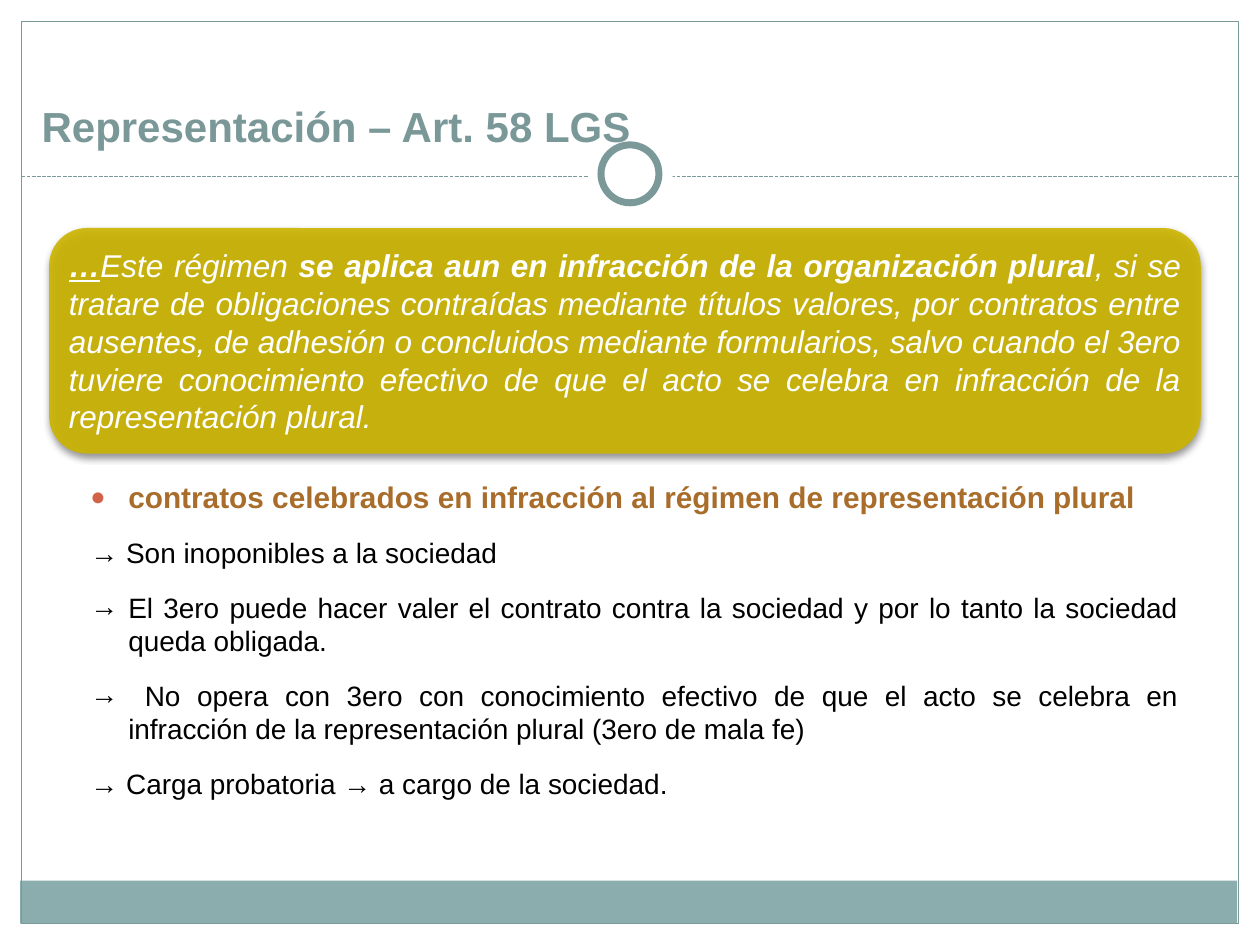
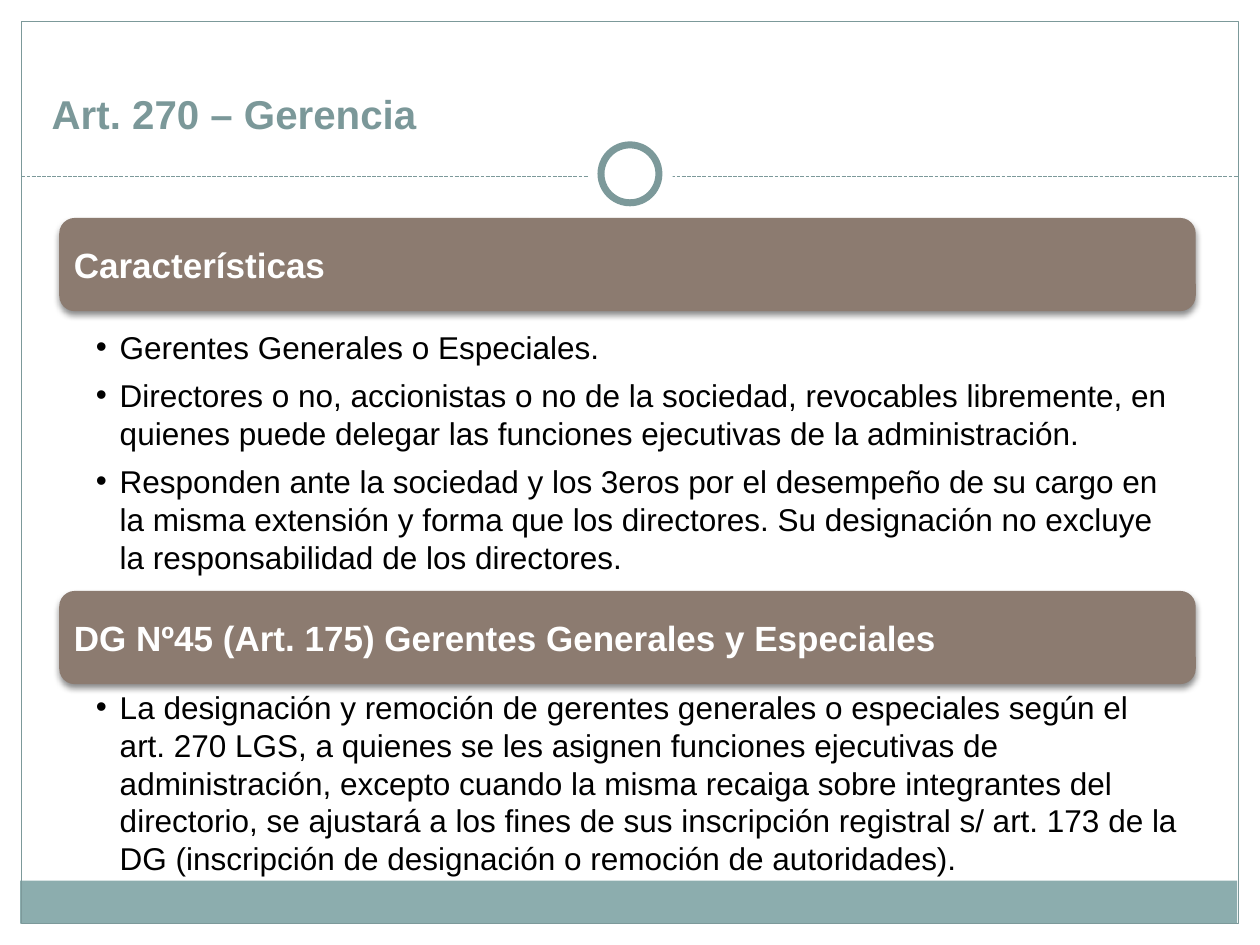
import pptx
import pptx.util
from pptx.dml.color import RGBColor
from pptx.enum.dml import MSO_LINE
from pptx.enum.shapes import MSO_CONNECTOR, MSO_SHAPE
from pptx.enum.text import MSO_ANCHOR, PP_ALIGN
from pptx.oxml import parse_xml
from pptx.oxml.ns import nsdecls

Inches, Pt = pptx.util.Inches, pptx.util.Pt

FONT = "Arial"
WHITE = RGBColor(0xFF, 0xFF, 0xFF)
BLACK = RGBColor(0, 0, 0)
TEAL = RGBColor(0x7C, 0x99, 0x9A)
HEAD = RGBColor(0x7B, 0x98, 0x99)
BAND = RGBColor(0x8C, 0xAD, 0xAE)
GOLD = RGBColor(0xCC, 0xB4, 0x00)
TAUPE = RGBColor(0x8C, 0x7B, 0x70)
OCHRE = RGBColor(0xA9, 0x6D, 0x2B)
RED = RGBColor(0xD1, 0x63, 0x49)


def child(tag, attrs="", inner=""):
    return parse_xml(f"<a:{tag} {nsdecls('a')} {attrs}>{inner}</a:{tag}>")


def set_bullet(para, mark, hang, color=None, scale=None):
    """Hang the paragraph by a distance and, if a mark is given, bullet it."""
    props = para._p.get_or_add_pPr()
    props.set("marL", str(Inches(hang)))
    props.set("indent", str(-Inches(hang)))
    if color is not None:
        props.append(child("buClr", "", f'<a:srgbClr val="{color}"/>'))
    if scale:
        props.append(child("buSzPct", f'val="{scale * 1000}"'))
    if mark:
        props.append(child("buFont", f'typeface="{FONT}"'))
        props.append(child("buChar", f'char="{mark}"'))
    else:
        props.append(child("buNone"))


def write(para, text, size=18, color=BLACK, bold=False, italic=False,
          under=False, align=PP_ALIGN.LEFT, before=0, after=6):
    run = para.add_run()
    run.text = text
    font = run.font
    font.name, font.size, font.color.rgb = FONT, Pt(size), color
    font.bold, font.italic, font.underline = bold, italic, under
    para.alignment = align
    para.space_before, para.space_after = Pt(before), Pt(after)


def set_frame(frame, anchor, insets):
    frame.word_wrap = True
    frame.vertical_anchor = anchor
    (frame.margin_left, frame.margin_top,
     frame.margin_right, frame.margin_bottom) = map(Inches, insets)


def add_box(slide, kind, place, fill=None, line=None, width=0.75):
    box = slide.shapes.add_shape(kind, *map(Inches, place))
    box.shadow.inherit = False
    if fill is None:
        box.fill.background()
    else:
        box.fill.solid()
        box.fill.fore_color.rgb = fill
    if line is None:
        box.line.fill.background()
    else:
        box.line.color.rgb = line
        box.line.width = Pt(width)
    return box


def add_card(slide, place, fill, inset, alpha=100):
    """Add a rounded box with a soft shadow and return its first paragraph."""
    card = add_box(slide, MSO_SHAPE.ROUNDED_RECTANGLE, place, fill)
    props = card._element.spPr
    if alpha < 100:
        tint = props.find(".//{*}solidFill/{*}srgbClr")
        tint.append(child("alpha", f'val="{alpha * 1000}"'))
    props.find("{*}effectLst").append(child(
        "outerShdw",
        f'blurRad="{Pt(4)}" dist="{Pt(2)}" dir="5400000" rotWithShape="0"',
        '<a:srgbClr val="000000"><a:alpha val="45000"/></a:srgbClr>'))
    set_frame(card.text_frame, MSO_ANCHOR.MIDDLE, [inset] * 4)
    return card.text_frame.paragraphs[0]


def add_list(slide, place, items, insets=(0.1, 0.05, 0.1, 0.05)):
    """Add one paragraph for each (text, bullet format, text format)."""
    frame = slide.shapes.add_textbox(*map(Inches, place)).text_frame
    set_frame(frame, MSO_ANCHOR.TOP, insets)
    for i, (text, bullet, style) in enumerate(items):
        para = frame.add_paragraph() if i else frame.paragraphs[0]
        write(para, text, **style)
        set_bullet(para, **bullet)


def add_base(deck, title, left, top, size):
    """Add a slide with the shared frame, band, ring and title."""
    slide = deck.slides.add_slide(deck.slide_layouts[5])
    rect, oval = MSO_SHAPE.RECTANGLE, MSO_SHAPE.OVAL
    add_box(slide, rect, (0.16, 6.99, 9.66, 0.34), BAND)
    add_box(slide, rect, (0.17, 0.17, 9.66, 7.16), line=TEAL)
    rule = slide.shapes.add_connector(
        MSO_CONNECTOR.STRAIGHT, *map(Inches, (0.17, 1.4, 9.83, 1.4)))
    rule.line.color.rgb = TEAL
    rule.line.width = Pt(0.75)
    rule.line.dash_style = MSO_LINE.SQUARE_DOT
    rule._element.spPr.append(child("effectLst"))
    add_box(slide, oval, (4.67, 1.05, 0.67, 0.67), WHITE)
    add_box(slide, oval, (4.77, 1.15, 0.46, 0.46), WHITE, TEAL, 4)

    head = slide.shapes.title
    head.left, head.top = Inches(left), Inches(top)
    head.width, head.height = Inches(9.33), Inches(0.83)
    set_frame(head.text_frame, MSO_ANCHOR.BOTTOM, (0.1, 0.05, 0.1, 0.05))
    write(head.text_frame.paragraphs[0], title, size=size, color=HEAD,
          bold=True, after=0)
    slide.shapes._spTree.append(head._element)
    return slide


def add_proxy(deck):
    slide = add_base(deck, "Representación – Art. 58 LGS", 0.23, 0.42, 24)
    quote = add_card(slide, (0.39, 1.81, 9.14, 1.79), GOLD, 0.07, alpha=90)
    for text, style in (
        ("…", {"bold": True, "under": True}),
        ("Este régimen ", {}),
        ("se aplica aun en infracción de la organización plural",
         {"bold": True}),
        (", si se tratare de obligaciones contraídas mediante títulos "
         "valores, por contratos entre ausentes, de adhesión o concluidos "
         "mediante formularios, salvo cuando el 3ero tuviere conocimiento "
         "efectivo de que el acto se celebra en infracción de la "
         "representación plural.", {}),
    ):
        write(quote, text, color=WHITE, italic=True,
              align=PP_ALIGN.JUSTIFY, **style)

    plain = {"size": 16, "align": PP_ALIGN.JUSTIFY, "before": 6}
    lead = {**plain, "size": 17, "color": OCHRE, "bold": True}
    dot = {"mark": "●", "hang": 0.3, "color": RED, "scale": 85}
    arrow = {"mark": "→", "hang": 0.3}
    bare = {"mark": None, "hang": 0.3}
    add_list(slide, (0.62, 3.75, 8.83, 3.28), (
        ("contratos celebrados en infracción al régimen de representación "
         "plural", dot, lead),
        ("→ Son inoponibles a la sociedad", bare, plain),
        ("El 3ero puede hacer valer el contrato contra la sociedad y por lo "
         "tanto la sociedad queda obligada.", arrow, plain),
        (" No opera con 3ero con conocimiento efectivo de que el acto se "
         "celebra en infracción de la representación plural (3ero de mala "
         "fe)", arrow, plain),
        ("→ Carga probatoria → a cargo de la sociedad.", bare, plain),
    ))


def add_topic(slide, top, title, list_top, height, points):
    """Add a heading card with its bulleted points below."""
    write(add_card(slide, (0.47, top, 9.02, 0.74), TAUPE, 0.08), title,
          size=20, color=WHITE, bold=True)
    dot = {"mark": "•", "hang": 0.19}
    add_list(slide, (0.47, list_top, 9.02, height),
             [(text, dot, {}) for text in points],
             insets=(0.29, 0.03, 0.14, 0.03))


def add_managers(deck):
    slide = add_base(deck, "Art. 270 – Gerencia", 0.31, 0.31, 23)
    add_topic(slide, 1.73, "Características", 2.57, 2.23, (
        "Gerentes Generales o Especiales.",
        "Directores o no, accionistas o no de la sociedad, revocables "
        "libremente, en quienes puede delegar las funciones ejecutivas de la "
        "administración.",
        "Responden ante la sociedad y los 3eros por el desempeño de su cargo "
        "en la misma extensión y forma que los directores. Su designación no "
        "excluye la responsabilidad de los directores.",
    ))
    add_topic(slide, 4.69, "DG Nº45 (Art. 175) Gerentes Generales y Especiales",
              5.43, 1.51, (
        "La designación y remoción de gerentes generales o especiales según "
        "el art. 270 LGS, a quienes se les asignen funciones ejecutivas de "
        "administración, excepto cuando la misma recaiga sobre integrantes "
        "del directorio, se ajustará a los fines de sus inscripción registral "
        "s/ art. 173 de la DG (inscripción de designación o remoción de "
        "autoridades).",
    ))


def main():
    deck = pptx.Presentation()
    deck.slide_width, deck.slide_height = Inches(10), Inches(7.5)
    add_proxy(deck)
    add_managers(deck)
    deck.save("out.pptx")


if __name__ == "__main__":
    main()
